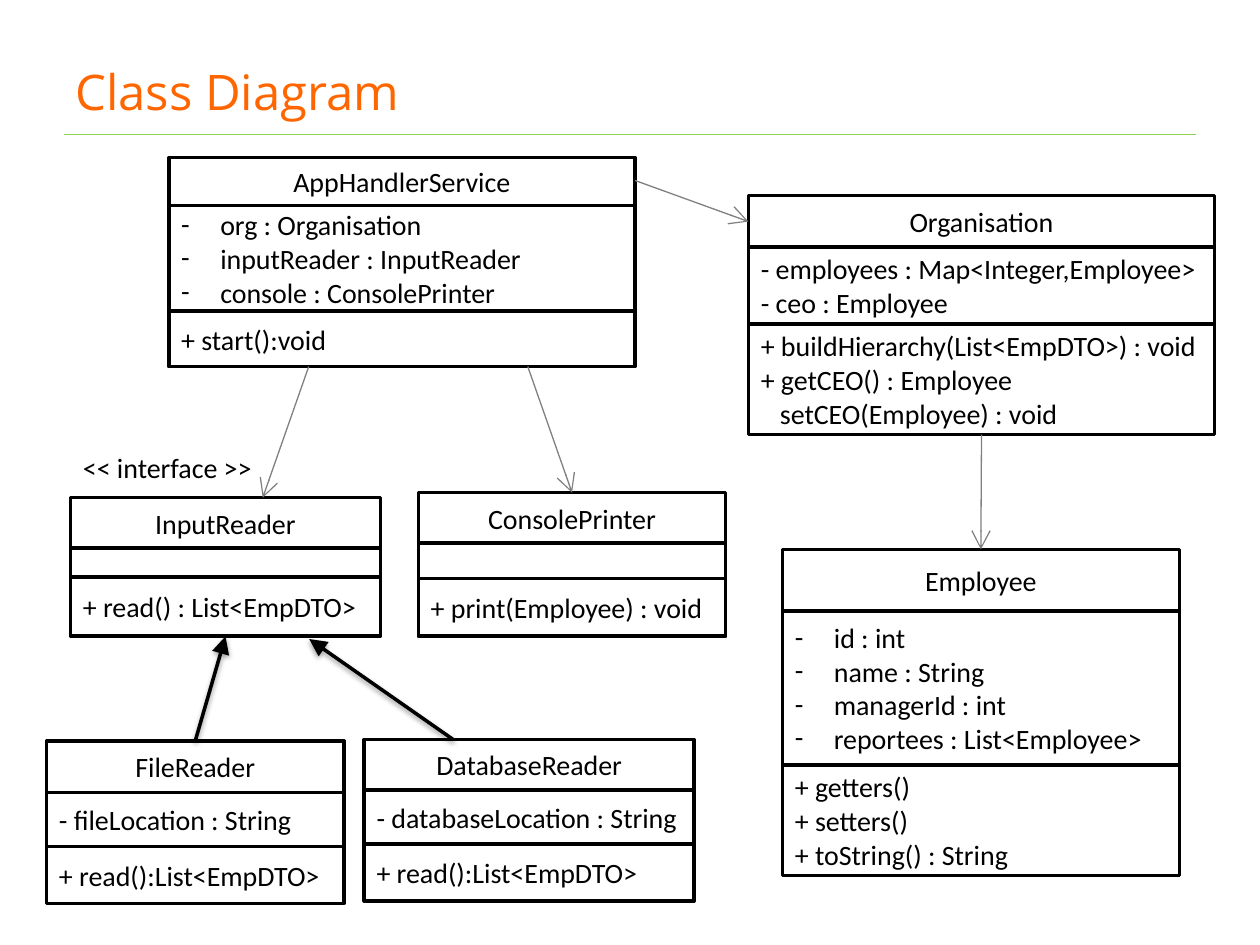
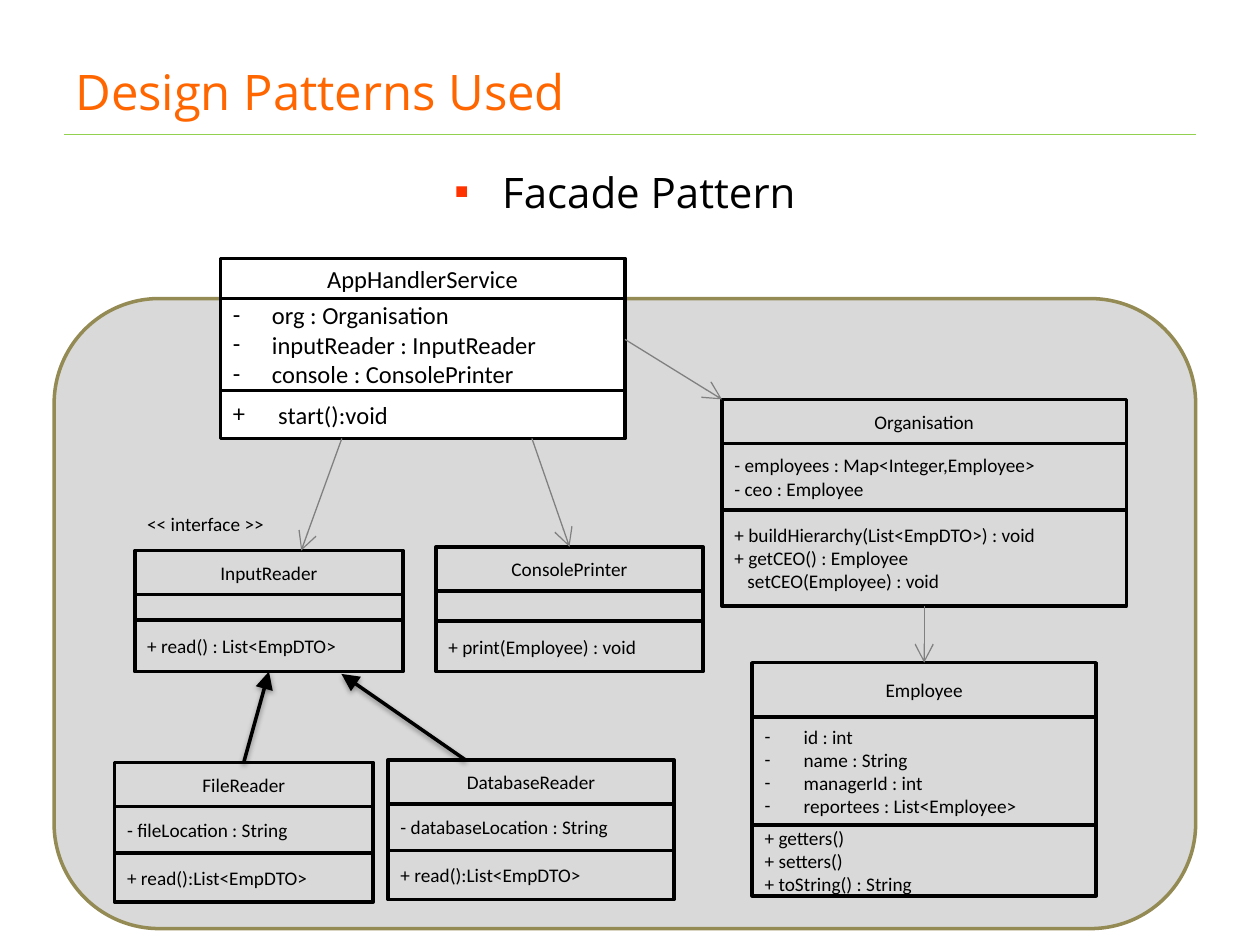
from dataclasses import dataclass

from lxml.etree import SubElement
from pptx import Presentation
from pptx.dml.color import RGBColor
from pptx.enum.shapes import MSO_CONNECTOR, MSO_SHAPE
from pptx.enum.text import MSO_ANCHOR, PP_ALIGN
from pptx.oxml.ns import qn
from pptx.util import Inches, Pt

BLACK, WHITE, GRAY = "000000", "FFFFFF", "808080"
ORANGE, GREEN, RED = "FF6600", "92D050", "FF3300"
PANEL_FILL, PANEL_LINE = "D9D9D9", "948A54"
TITLE_FONT, DIAGRAM_FONT = "Open Sans", "Calibri"
SERVICE = "AppHandlerService"


@dataclass
class Member:
    """One line of a class box; ems is an indent that grows with the font."""
    text: str
    bullet: str = ""
    indent: float = 0
    ems: float = 0


@dataclass
class Diagram:
    """What differs between the two drawings of the class model."""
    places: dict             # class name: left, top, width, compartment heights
    service_operation: Member
    service_link: tuple      # heights at which service and Organisation are joined
    label_place: tuple
    size: int
    service_size: int
    service_fill: str = None


def plain(*texts):
    """Return members without bullet or indent."""
    return [Member(text) for text in texts]


def dashed(*texts):
    """Return members that hang from a dash."""
    return [Member(text, "-", 0.31) for text in texts]


# Class name: (attributes, operations); the service operation varies by diagram
CLASSES = {
    SERVICE: (dashed("org : Organisation", "inputReader : InputReader",
                     "console : ConsolePrinter"), []),
    "FileReader": (plain("- fileLocation : String"), plain("+ read():List<EmpDTO>")),
    "Organisation": (
        plain("- employees : Map<Integer,Employee>", "- ceo : Employee"),
        plain("+ buildHierarchy(List<EmpDTO>) : void", "+ getCEO() : Employee")
        + [Member("setCEO(Employee) : void", ems=0.68)]),
    "DatabaseReader": (plain("- databaseLocation : String"),
                       plain("+ read():List<EmpDTO>")),
    "InputReader": ([], plain("+ read() : List<EmpDTO>")),
    "ConsolePrinter": ([], plain("+ print(Employee) : void")),
    "Employee": (dashed("id : int", "name : String", "managerId : int",
                        "reportees : List<Employee>"),
                 plain("+ getters()", "+ setters()", "+ toString() : String")),
}

# Anchors are (class, fraction of its width, fraction of its height)
USES = [
    ((SERVICE, 0.77, 1), ("ConsolePrinter", 0.5, 0)),
    (("Organisation", 0.5, 1), ("Employee", 0.5, 0)),
    ((SERVICE, 0.3, 1), ("InputReader", 0.62, 0)),
]
INHERITS = [
    (("FileReader", 0.5, 0), ("InputReader", 0.5, 1)),
    (("DatabaseReader", 0.27, 0), ("InputReader", 0.77, 1.02)),
]

CLASS_DIAGRAM = Diagram(
    places={
        SERVICE: (1.34, 1.25, 3.7, (0.38, 0.84, 0.44)),
        "FileReader": (0.37, 5.88, 2.36, (0.41, 0.43, 0.45)),
        "Organisation": (5.94, 1.55, 3.7, (0.41, 0.61, 0.88)),
        "DatabaseReader": (2.89, 5.87, 2.62, (0.4, 0.43, 0.45)),
        "InputReader": (0.56, 3.95, 2.46, (0.4, 0.23, 0.47)),
        "ConsolePrinter": (3.32, 3.91, 2.44, (0.4, 0.28, 0.46)),
        "Employee": (6.21, 4.36, 3.15, (0.49, 1.22, 0.88)),
    },
    service_operation=Member("+ start():void"),
    service_link=(0.11, 0.11),
    label_place=(0.56, 3.53, 1.56, 0.37),
    size=16,
    service_size=16,
)
FACADE_DIAGRAM = Diagram(
    places={
        SERVICE: (1.75, 2.05, 3.21, (0.32, 0.73, 0.38)),
        "FileReader": (0.91, 6.05, 2.05, (0.35, 0.37, 0.39)),
        "Organisation": (5.73, 3.17, 3.21, (0.35, 0.53, 0.76)),
        "DatabaseReader": (3.08, 6.03, 2.27, (0.35, 0.37, 0.39)),
        "InputReader": (1.07, 4.37, 2.13, (0.35, 0.2, 0.41)),
        "ConsolePrinter": (3.46, 4.34, 2.12, (0.35, 0.24, 0.4)),
        "Employee": (5.97, 5.26, 2.73, (0.43, 0.86, 0.56)),
    },
    service_operation=Member("start():void", "+", 0.36),
    service_link=(0.45, 0),
    label_place=(1.07, 4.02, 1.14, 0.29),
    size=11,
    service_size=14,
    service_fill=WHITE,
)


def color(hex_string):
    """Turn a hex string into a colour."""
    return RGBColor.from_string(hex_string)


def set_font(paragraph, name, size, hex_string=BLACK):
    """Set the font of a whole paragraph."""
    paragraph.font.name = name
    paragraph.font.size = Pt(size)
    paragraph.font.color.rgb = color(hex_string)


def set_bullet(paragraph, indent, bullet, hex_string=BLACK):
    """Indent a paragraph and hang a bullet in front; call before set_font."""
    properties = paragraph._p.get_or_add_pPr()
    properties.set("marL", str(Inches(indent)))
    if bullet:
        properties.set("indent", str(-Inches(indent)))
        tint = SubElement(properties, qn("a:buClr"))
        SubElement(tint, qn("a:srgbClr"), val=hex_string)
        SubElement(properties, qn("a:buFont"), typeface=DIAGRAM_FONT)
        SubElement(properties, qn("a:buChar"), char=bullet)


def add_text_box(shapes, place, text, wrap=True):
    """Add a one-paragraph text box; return its frame and paragraph."""
    frame = shapes.add_textbox(*map(Inches, place)).text_frame
    frame.word_wrap = wrap
    paragraph = frame.paragraphs[0]
    paragraph.text = text
    return frame, paragraph


def add_box(shapes, preset, place, fill, line):
    """Add an outlined shape, hollow when fill is None."""
    shape = shapes.add_shape(preset, *map(Inches, place))
    shape.shadow.inherit = False
    if fill:
        shape.fill.solid()
        shape.fill.fore_color.rgb = color(fill)
    else:
        shape.fill.background()
    shape.line.color.rgb = color(line)
    shape.line.width = Pt(2)
    return shape


def add_line(shapes, start, end, hex_string, width, head=None, shadow=False):
    """Add a straight line, with an arrowhead and a soft shadow if asked."""
    connector = shapes.add_connector(MSO_CONNECTOR.STRAIGHT,
                                     *map(Inches, (*start, *end)))
    connector.line.color.rgb = color(hex_string)
    connector.line.width = Pt(width)
    properties = connector._element.spPr
    if head:
        SubElement(properties.find(qn("a:ln")), qn("a:tailEnd"),
                   type=head, w="lg", len="lg")
    effects = SubElement(properties, qn("a:effectLst"))
    if shadow:
        outer = SubElement(effects, qn("a:outerShdw"), blurRad=str(Pt(3.1)),
                           dist=str(Pt(1.6)), dir="5400000", rotWithShape="0")
        tint = SubElement(outer, qn("a:srgbClr"), val=BLACK)
        SubElement(tint, qn("a:alpha"), val="38000")


def add_compartment(shapes, place, members, alignment, size, fill):
    """Add one compartment of a class with its lines of text."""
    box = add_box(shapes, MSO_SHAPE.RECTANGLE, place, fill, BLACK)
    frame = box.text_frame
    frame.word_wrap = True
    frame.vertical_anchor = MSO_ANCHOR.MIDDLE
    for index, member in enumerate(members):
        paragraph = frame.add_paragraph() if index else frame.paragraphs[0]
        paragraph.text = member.text
        paragraph.alignment = alignment
        set_bullet(paragraph, member.indent + member.ems * size / 72, member.bullet)
        set_font(paragraph, DIAGRAM_FONT, size)


def add_class(shapes, name, compartments, place, size, fill):
    """Stack the name, attribute and operation compartments of a class."""
    left, top, width, heights = place
    rows = [plain(name), *compartments]
    alignments = [PP_ALIGN.CENTER, PP_ALIGN.LEFT, PP_ALIGN.LEFT]
    for height, members, alignment in zip(heights, rows, alignments):
        add_compartment(shapes, (left, top, width, height), members, alignment,
                        size, fill)
        top += height


def anchor_point(places, anchor):
    """Turn an anchor into a point on the slide."""
    name, across, down = anchor
    left, top, width, heights = places[name]
    return left + across * width, top + down * sum(heights)


def add_diagram(slide, diagram):
    """Draw the classes, their arrows and the interface label as one group."""
    shapes = slide.shapes.add_group_shape().shapes
    for name, (attributes, operations) in CLASSES.items():
        size, fill = diagram.size, None
        if name == SERVICE:
            operations = [diagram.service_operation]
            size, fill = diagram.service_size, diagram.service_fill
        add_class(shapes, name, (attributes, operations), diagram.places[name],
                  size, fill)

    service_down, organisation_down = diagram.service_link
    service_use = ((SERVICE, 1, service_down), ("Organisation", 0, organisation_down))
    for ends in [service_use, *USES]:
        start, end = (anchor_point(diagram.places, anchor) for anchor in ends)
        add_line(shapes, start, end, GRAY, 0.75, "arrow")
    for ends in INHERITS:
        start, end = (anchor_point(diagram.places, anchor) for anchor in ends)
        add_line(shapes, start, end, BLACK, 2, "triangle", shadow=True)

    _, label = add_text_box(shapes, diagram.label_place, "<< interface >>", wrap=False)
    set_font(label, DIAGRAM_FONT, diagram.size)


def add_titled_slide(presentation, title):
    """Add a blank slide with the shared title and rule."""
    slide = presentation.slides.add_slide(presentation.slide_layouts[6])
    add_line(slide.shapes, (0.51, 1.07), (9.49, 1.07), GREEN, 0.75)
    frame, paragraph = add_text_box(slide.shapes, (0.5, 0.3, 9, 0.85), title)
    frame.vertical_anchor = MSO_ANCHOR.MIDDLE
    set_font(paragraph, TITLE_FONT, 28, ORANGE)
    return slide


def add_pattern_heading(slide, text):
    """Add the centred, bulleted name of a design pattern."""
    _, paragraph = add_text_box(slide.shapes, (0.46, 1.27, 9, 0.51), text)
    paragraph.alignment = PP_ALIGN.CENTER
    paragraph.space_before = Pt(4.8)
    set_bullet(paragraph, 0.38, "▪", RED)
    set_font(paragraph, TITLE_FONT, 24)


def main():
    """Build and save the presentation."""
    presentation = Presentation()
    presentation.slide_width = Inches(10)
    presentation.slide_height = Inches(7.5)

    class_slide = add_titled_slide(presentation, "Class Diagram")
    add_diagram(class_slide, CLASS_DIAGRAM)

    facade_slide = add_titled_slide(presentation, "Design Patterns Used")
    add_pattern_heading(facade_slide, "Facade Pattern")
    add_box(facade_slide.shapes, MSO_SHAPE.ROUNDED_RECTANGLE, (0.43, 2.37, 9.06, 5),
            PANEL_FILL, PANEL_LINE)
    add_diagram(facade_slide, FACADE_DIAGRAM)

    presentation.save("out.pptx")


main()
